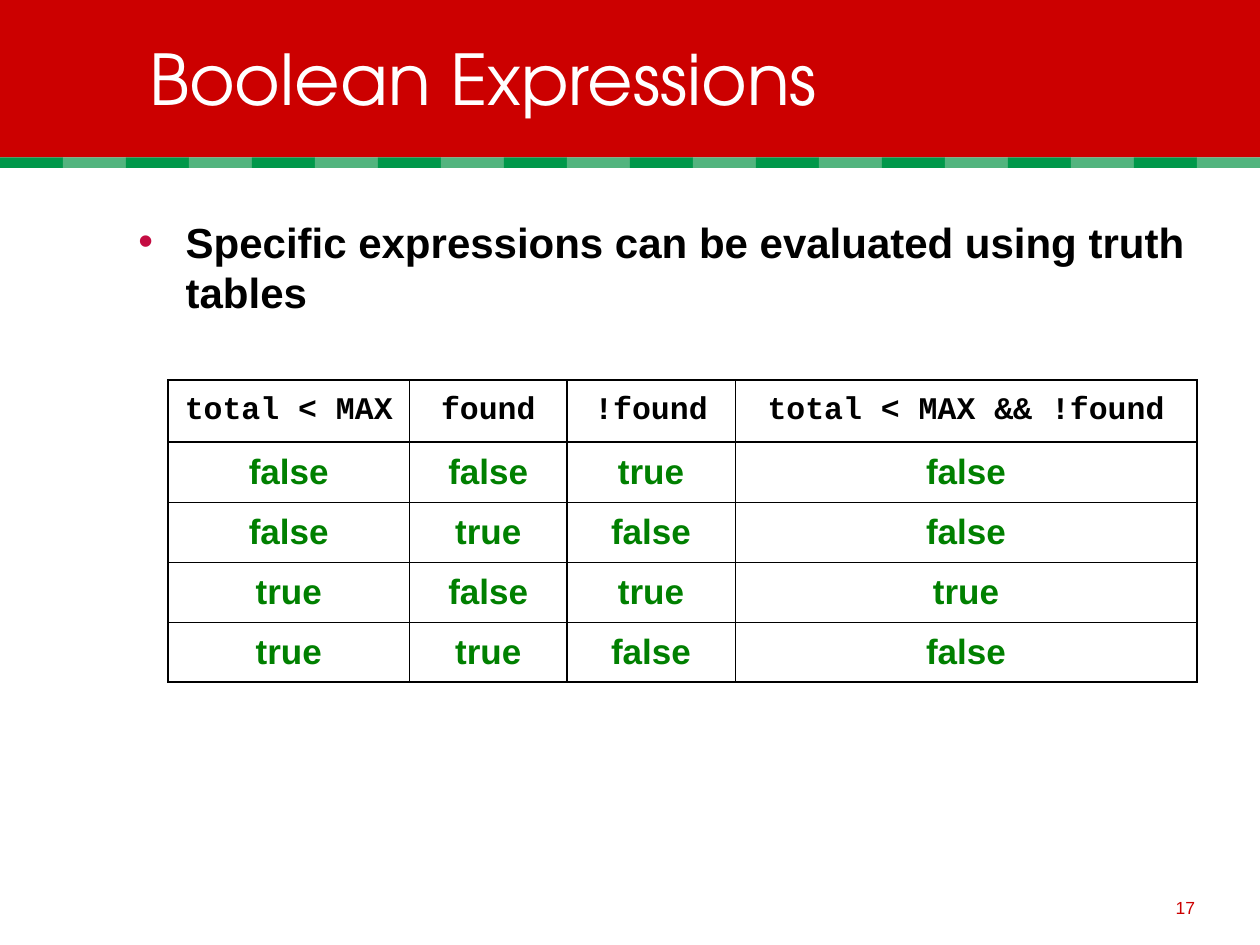
from lxml import etree
from pptx import Presentation
from pptx.dml.color import RGBColor
from pptx.enum.shapes import MSO_SHAPE
from pptx.enum.text import MSO_ANCHOR, MSO_AUTO_SIZE, PP_ALIGN
from pptx.oxml.ns import qn
from pptx.util import Pt

RECTANGLE = MSO_SHAPE.RECTANGLE
TOP, MIDDLE, BOTTOM = MSO_ANCHOR.TOP, MSO_ANCHOR.MIDDLE, MSO_ANCHOR.BOTTOM
LEFT, CENTER, RIGHT = PP_ALIGN.LEFT, PP_ALIGN.CENTER, PP_ALIGN.RIGHT
NO_AUTO_SIZE = MSO_AUTO_SIZE.NONE

RED = RGBColor(0xCC, 0x00, 0x00)
DARK_GREEN = RGBColor(0x00, 0x98, 0x4A)
LIGHT_GREEN = RGBColor(0x52, 0xB4, 0x7E)
VALUE_GREEN = RGBColor(0x00, 0x80, 0x00)
BULLET_RED = RGBColor(0xC4, 0x0C, 0x42)
BLACK = RGBColor(0x00, 0x00, 0x00)
WHITE = RGBColor(0xFF, 0xFF, 0xFF)

PAGE_WIDTH, PAGE_HEIGHT = 720, 540
TITLE_ONLY = 5
THICK, THIN = 1.08, 0.45

HEADINGS = ["total < MAX", "found", "!found", "total < MAX && !found"]
TRUTH_ROWS = [
    ["false", "false", "true", "false"],
    ["false", "true", "false", "false"],
    ["true", "false", "true", "true"],
    ["true", "true", "false", "false"],
]


def write_text(frame, text, size, color, font="Arial", bold=False,
               align=LEFT, space_before=0):
    frame.word_wrap = True
    para = frame.paragraphs[0]
    para.alignment = align
    para.space_before = Pt(space_before)
    span = para.add_run()
    span.text = text
    span.font.name = font
    span.font.size = Pt(size)
    span.font.bold = bold
    span.font.color.rgb = color
    return para


def add_bullet(para, character, color, indent):
    properties = para._p.get_or_add_pPr()
    properties.set("marL", str(Pt(indent)))
    properties.set("indent", str(-Pt(indent)))
    bullet_color = etree.SubElement(properties, qn("a:buClr"))
    etree.SubElement(bullet_color, qn("a:srgbClr"), val=str(color))
    etree.SubElement(properties, qn("a:buFont"), typeface="Arial")
    etree.SubElement(properties, qn("a:buChar"), char=character)


def set_borders(cell, color, left, right, top, bottom):
    properties = cell._tc.get_or_add_tcPr()
    for side, width in zip("LRTB", (left, right, top, bottom)):
        line = etree.SubElement(properties, qn("a:ln" + side), w=str(Pt(width)))
        fill = etree.SubElement(line, qn("a:solidFill"))
        etree.SubElement(fill, qn("a:srgbClr"), val=str(color))


class SlideBuilder:
    heading_style = dict(size=18, color=BLACK, font="Courier New", bold=True,
                         align=CENTER, space_before=4.5)
    value_style = dict(size=20, color=VALUE_GREEN, bold=True,
                       align=CENTER, space_before=5)

    def __init__(self, deck):
        self.slide = deck.slides.add_slide(deck.slide_layouts[TITLE_ONLY])

    def rectangle(self, left, top, width, height, color):
        box = self.slide.shapes.add_shape(
            RECTANGLE, Pt(left), Pt(top), Pt(width), Pt(height))
        box.shadow.inherit = False
        box.fill.solid()
        box.fill.fore_color.rgb = color
        box.line.fill.background()

    def title(self, text, left, top, width, height):
        """Fill the title placeholder and bring it in front of the banner."""
        box = self.slide.shapes.title
        box.left, box.top = Pt(left), Pt(top)
        box.width, box.height = Pt(width), Pt(height)
        box.text_frame.auto_size = NO_AUTO_SIZE
        box.text_frame.vertical_anchor = MIDDLE
        write_text(box.text_frame, text, 40, WHITE, font="TeX Gyre Adventor")
        box.element.getparent().append(box.element)

    def text(self, text, left, top, width, height, anchor=TOP, **style):
        box = self.slide.shapes.add_textbox(
            Pt(left), Pt(top), Pt(width), Pt(height))
        box.text_frame.vertical_anchor = anchor
        return write_text(box.text_frame, text, **style)

    def table(self, rows, left, top, column_widths, row_heights):
        """Draw a table whose first row holds the headings."""
        frame = self.slide.shapes.add_table(
            len(rows), len(column_widths), Pt(left), Pt(top),
            Pt(sum(column_widths)), Pt(sum(row_heights)))
        table = frame.table
        table.first_row = table.horz_banding = False
        for column, width in zip(table.columns, column_widths):
            column.width = Pt(width)
        for row, height in zip(table.rows, row_heights):
            row.height = Pt(height)

        vertical = [THIN if i % 2 else THICK
                    for i in range(len(column_widths) + 1)]
        horizontal = [THICK if i in (0, 1, len(rows)) else THIN
                      for i in range(len(rows) + 1)]
        for r, texts in enumerate(rows):
            style = self.value_style if r else self.heading_style
            for c, text in enumerate(texts):
                cell = table.cell(r, c)
                cell.vertical_anchor = MIDDLE
                set_borders(cell, BLACK, vertical[c], vertical[c + 1],
                            horizontal[r], horizontal[r + 1])
                cell.fill.background()
                write_text(cell.text_frame, text, **style)


def main():
    deck = Presentation()
    deck.slide_width, deck.slide_height = Pt(PAGE_WIDTH), Pt(PAGE_HEIGHT)
    page = SlideBuilder(deck)

    banner_height, stripe_width = 90, 36
    page.rectangle(0, 0, PAGE_WIDTH, banner_height, RED)
    for i in range(PAGE_WIDTH // stripe_width):
        page.rectangle(i * stripe_width, banner_height, stripe_width, 6,
                       LIGHT_GREEN if i % 2 else DARK_GREEN)

    page.title("Boolean Expressions", 78, 17.5, 624, 54)
    statement = page.text(
        "Specific expressions can be evaluated using truth tables",
        72, 120, 624, 67, size=24, color=BLACK, bold=True, space_before=6)
    add_bullet(statement, "•", BULLET_RED, 27)
    page.table([HEADINGS] + TRUTH_ROWS, 96, 217.2,
               [138, 90, 96, 264], [35.5] + [34.3] * len(TRUTH_ROWS))
    page.text("17", 540, 498, 150, 30, anchor=BOTTOM,
              size=10, color=RED, align=RIGHT)

    deck.save("out.pptx")


if __name__ == "__main__":
    main()
